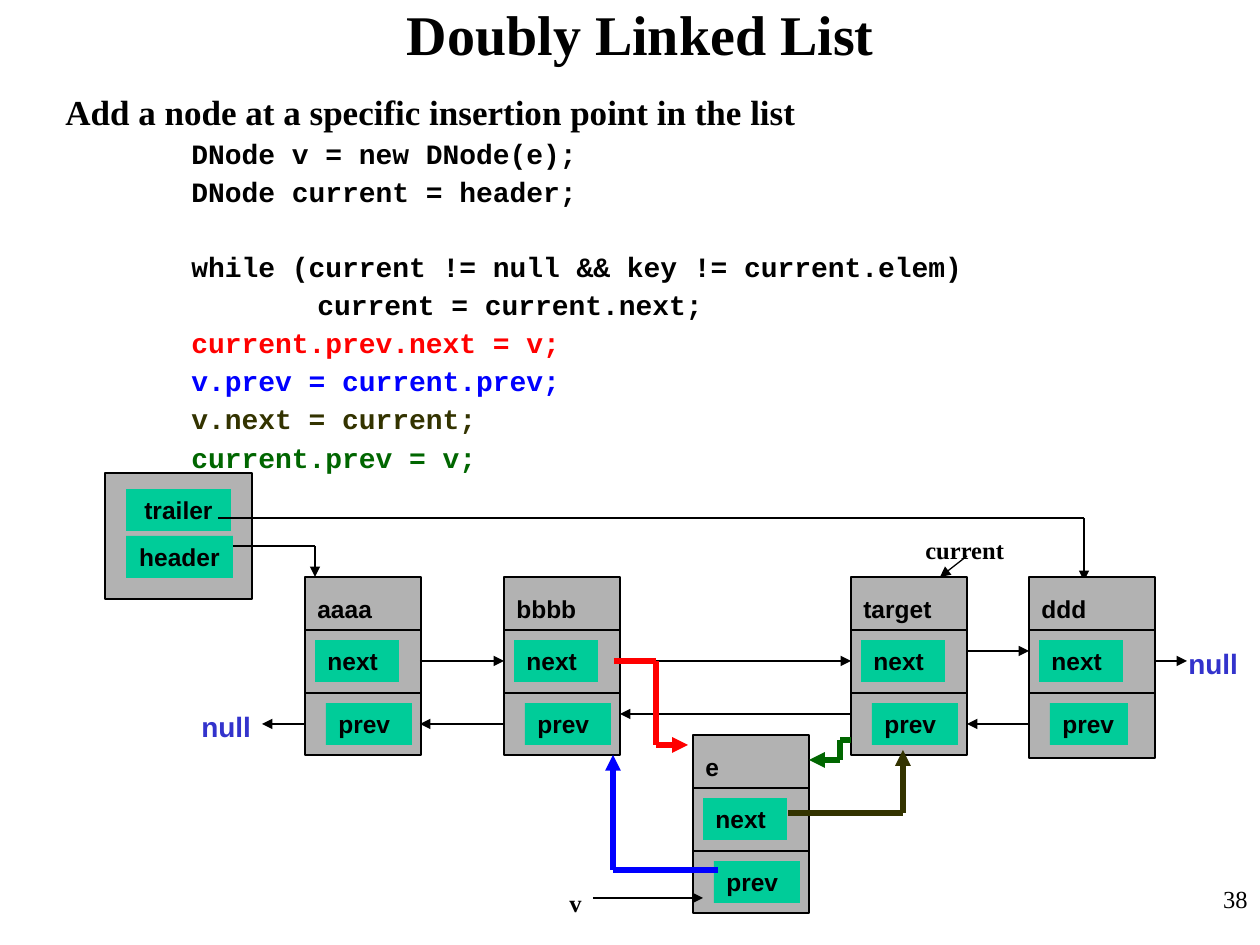
"""Build a slide on inserting a node into a doubly linked list."""
from itertools import pairwise
from lxml.etree import SubElement
from pptx import Presentation
from pptx.dml.color import RGBColor
from pptx.enum.shapes import MSO_CONNECTOR, MSO_SHAPE
from pptx.enum.text import MSO_ANCHOR, PP_ALIGN
from pptx.oxml.ns import qn
from pptx.util import Pt

PX = 914400 / 126
THEME = {
    "black": "000000", "gray": "B2B2B2", "teal": "00CC99", "violet": "3333CC",
    "red": "FF0000", "blue": "0000FF", "olive": "333300", "green": "006600",
    "title": ("Times New Roman", 32, True), "head": ("Times New Roman", 20, True),
    "code": ("Courier New", 16, True), "label": ("Arial", 14, True),
    "null": ("Arial", 16, True), "note": ("Times New Roman", 14, True),
    "page": ("Times New Roman", 14, False),
}

deck = Presentation()
deck.slide_width, deck.slide_height = round(1260 * PX), round(945 * PX)
slide = deck.slides.add_slide(deck.slide_layouts[6])
shapes = slide.shapes


def box(x, y, w, h, lines=(), fill=None, align=PP_ALIGN.LEFT, pad=True):
    """Add a box holding lines of (text, style, color, tabs, space before)."""
    area = [round(n * PX) for n in (x, y, w, h)]
    if fill:
        shape = shapes.add_shape(MSO_SHAPE.RECTANGLE, *area)
        shape.shadow.inherit = False
        shape.fill.solid()
        shape.fill.fore_color.rgb = RGBColor.from_string(THEME[fill])
        if lines:
            shape.line.fill.background()
        else:
            shape.line.color.rgb = RGBColor.from_string(THEME["black"])
            shape.line.width = Pt(1)
    else:
        shape = shapes.add_textbox(*area)
    frame = shape.text_frame
    frame.word_wrap = True
    frame.vertical_anchor = MSO_ANCHOR.TOP
    if not pad:
        frame.margin_left = frame.margin_right = 0
        frame.margin_top = frame.margin_bottom = 0
    for i, (text, style, color, tabs, gap) in enumerate(lines):
        para = frame.add_paragraph() if i else frame.paragraphs[0]
        para.alignment = align
        para.space_before = Pt(gap)
        para._p.get_or_add_pPr().set("marL", str(round(tabs * 126 * PX)))
        run = para.add_run()
        run.text = text
        name, size, bold = THEME[style]
        run.font.name, run.font.size, run.font.bold = name, Pt(size), bold
        run.font.color.rgb = RGBColor.from_string(THEME[color])


def wire(points, width=0.75, color="black", head=True):
    """Join the points with straight lines, with an arrowhead on the last."""
    for start, end in pairwise(points):
        ends = [round(n * PX) for n in (*start, *end)]
        line = shapes.add_connector(MSO_CONNECTOR.STRAIGHT, *ends)
        line.line.color.rgb = RGBColor.from_string(THEME[color])
        line.line.width = Pt(width)
        if head and end == points[-1]:
            SubElement(line.line._get_or_add_ln(), qn("a:tailEnd"), type="triangle")
        SubElement(line._element.spPr, qn("a:effectLst"))


box(1207, 878, 53, 63, [("38", "page", "black", 0, 0)], align=PP_ALIGN.RIGHT)
box(21, 0, 1239, 50, [("Doubly Linked List", "title", "black", 0, 0)],
    align=PP_ALIGN.CENTER, pad=False)

box(105, 473, 147, 126, fill="gray")
wire([(231, 546), (315, 546)], 1.5, head=False)
wire([(315, 546), (315, 577)])
for text, y, w in (("header", 536, 107), ("trailer", 489, 105)):
    box(126, y, w, 42, [(text, "label", "black", 0, 0)], "teal", PP_ALIGN.CENTER)
wire([(218, 518), (1084, 518), (1084, 581)])

nodes = [
    ("aaaa", 305, 577, 116, 178, 86), ("bbbb", 504, 577, 116, 178, 86),
    ("target", 851, 577, 116, 178, 86), ("ddd", 1029, 577, 126, 181, 78),
    ("e", 693, 735, 116, 178, 86),
]
for name, x, y, w, h, wide in nodes:
    box(x, y, w, h, fill="gray")
    box(x, y + 11, 126, 42, [(name, "label", "black", 0, 0)])
    box(x + 21, y + 126, wide, 42, [("prev", "label", "black", 0, 0)], "teal")
    box(x + 10, y + 63, 84, 42, [("next", "label", "black", 0, 0)], "teal")
    for drop, thick in ((53, 1), (116, 0.75)):
        wire([(x, y + drop), (x + w, y + drop)], thick, head=False)

for x, end, y in (
    (420, 504, 661), (620, 851, 661), (967, 1029, 651), (1155, 1187, 661),
    (851, 620, 714), (504, 420, 724), (1029, 967, 724), (305, 262, 724),
    (593, 703, 898),
):
    wire([(x, y), (end, y)])
for x, y in ((189, 703), (1176, 640)):
    box(x, y, 84, 45, [("null", "null", "violet", 0, 0)])

box(53, 84, 1176, 391, [
    ("Add a node at a specific insertion point in the list", "head", "black", 0, 2.6),
    ("DNode v = new DNode(e);", "code", "black", 1, 2.6),
    ("DNode current = header;", "code", "black", 1, 2.6),
    ("while (current != null && key != current.elem)", "code", "black", 1, 23.4),
    ("current = current.next;", "code", "black", 2, 2.6),
    ("current.prev.next = v;", "code", "red", 1, 2.6),
    ("v.prev = current.prev;", "code", "blue", 1, 2.6),
    ("v.next = current;", "code", "olive", 1, 2.6),
    ("current.prev = v;", "code", "green", 1, 2.6),
])

wire([(967, 556), (940, 577)])
box(913, 529, 126, 42, [("current", "note", "black", 0, 0)])
box(557, 882, 92, 43, [("v", "note", "black", 0, 0)])

wire([(614, 661), (656, 661), (656, 745), (688, 745)], 3, "red")
wire([(718, 870), (613, 870), (613, 755)], 3, "blue")
wire([(788, 813), (903, 813), (903, 750)], 3, "olive")
wire([(851, 740), (840, 740), (840, 760), (809, 760)], 3, "green")

deck.save("out.pptx")
